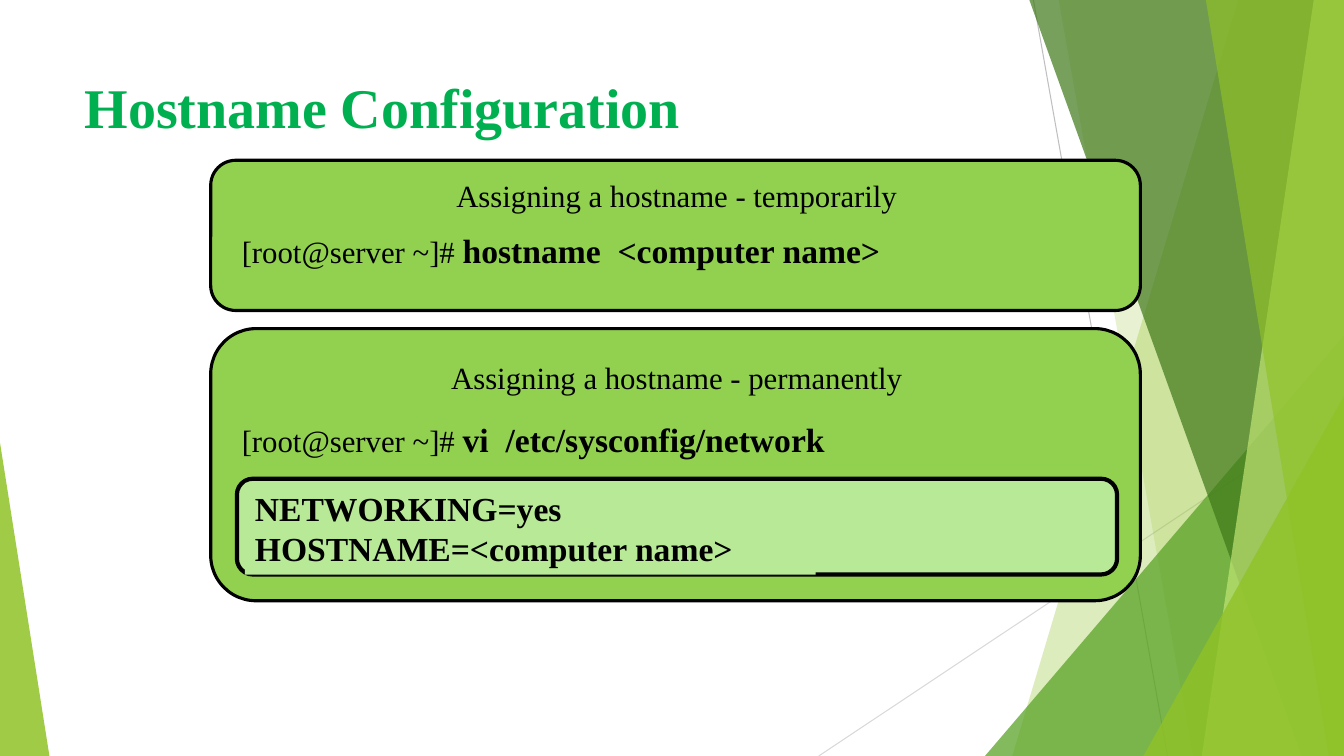
import pptx
import pptx.util
import pptx.dml.color
import pptx.enum.shapes
import pptx.enum.text
import pptx.oxml
import pptx.oxml.ns

RGB = pptx.dml.color.RGBColor
SHAPE = pptx.enum.shapes.MSO_SHAPE
ALIGN = pptx.enum.text.PP_ALIGN
ANCHOR = pptx.enum.text.MSO_ANCHOR
Pt = pptx.util.Pt
qn = pptx.oxml.ns.qn

BLACK = RGB(0x00, 0x00, 0x00)
TITLE_GREEN = RGB(0x00, 0xB0, 0x50)
PANEL_GREEN = RGB(0x92, 0xD0, 0x50)
FILE_GREEN = RGB(0xB7, 0xE9, 0x96)
LIME = RGB(0x90, 0xC2, 0x26)
GREEN = RGB(0x54, 0xA0, 0x21)
DARK_GREEN = RGB(0x3F, 0x78, 0x19)
PALE_LIME = RGB(0xC0, 0xE4, 0x74)
GREY = RGB(0xBF, 0xBF, 0xBF)
LIGHT_GREY = RGB(0xD9, 0xD9, 0xD9)

prs = pptx.Presentation()
prs.slide_width = pptx.util.Inches(13.33)
prs.slide_height = pptx.util.Inches(7.5)
# One column or row is one percent of the slide
COL, ROW = prs.slide_width / 100, prs.slide_height / 100
s = prs.slides.add_slide(prs.slide_layouts[6])


def paint(sp, fill, alpha=100, line=None):
    sp.shadow.inherit = False
    sp.fill.solid()
    sp.fill.fore_color.rgb = fill
    if alpha < 100:
        clr = sp._element.spPr.find(qn("a:solidFill"))[0]
        clr.append(pptx.oxml.parse_xml(
            '<a:alpha xmlns:a="http://schemas.openxmlformats.org/drawingml/2006/main"'
            f' val="{alpha * 1000}"/>'))
    if line:
        sp.line.color.rgb = BLACK
        sp.line.width = Pt(line)
    else:
        sp.line.fill.background()


def add_box(kind, x, y, w, h, paragraphs=(), **fmt):
    """paragraphs: lists of (text, format) runs; fmt: paragraph attributes."""
    sp = s.shapes.add_shape(kind, int(x * COL), int(y * ROW), int(w * COL), int(h * ROW))
    tf = sp.text_frame
    tf.word_wrap = True
    tf.vertical_anchor = ANCHOR.TOP
    for i, runs in enumerate(paragraphs):
        p = tf.add_paragraph() if i else tf.paragraphs[0]
        for name, value in {"alignment": ALIGN.LEFT, **fmt}.items():
            setattr(p, name, value)
        for text, font in runs:
            r = p.add_run()
            r.text = text
            r.font.color.rgb = font.get("color", BLACK)
            for name in ("name", "size", "bold"):
                setattr(r.font, name, font[name])
    return sp


PLAIN = {"name": "Times New Roman", "size": Pt(22), "bold": False}
STRONG = {**PLAIN, "size": Pt(24), "bold": True}
TITLE = {**STRONG, "size": Pt(40), "color": TITLE_GREEN}

# Thin background lines
for x1, y1, x2, y2, color in ((76.89, 0, 86.87, 100, GREY),
                              (100, 53.73, 60.92, 100, LIGHT_GREY)):
    c = s.shapes.add_connector(pptx.enum.shapes.MSO_CONNECTOR.STRAIGHT,
                               int(x1 * COL), int(y1 * ROW), int(x2 * COL), int(y2 * ROW))
    c.line.color.rgb = color
    c.line.width = Pt(0.75)
    c._element.spPr.append(pptx.oxml.parse_xml(
        '<a:effectLst xmlns:a="http://schemas.openxmlformats.org/drawingml/2006/main"/>'))

# Facets, back to front: bands run from a slanted left edge (top x, bottom x)
# to the right side; wedges are (x, y, width, apex) standing on the bottom side
FACETS = (
    ("band", (92.12, 75.32), LIME, 30),
    ("band", (78.77, 88.75), LIME, 20),
    ("wedge", (73.29, 44.4, 26.71, 1), GREEN, 72),
    ("band", (76.59, 96.85), DARK_GREEN, 70),
    ("band", (97.75, 89.42), PALE_LIME, 70),
    ("band", (89.72, 98.87), LIME, 65),
    ("wedge", (85.07, 52.4, 14.93, 1), LIME, 80),
    ("wedge", (0, 58.53, 3.68, 0), LIME, 85),
)
for kind, place, color, alpha in FACETS:
    if kind == "band":
        top, bottom = place
        fb = s.shapes.build_freeform(int(top * COL), 0)
        fb.add_line_segments([(int(x * COL), int(y * ROW)) for x, y in
                              ((100, 0), (100, 100), (bottom, 100))], close=True)
        sp = fb.convert_to_shape()
    else:
        x, y, w, apex = place
        sp = add_box(SHAPE.ISOSCELES_TRIANGLE, x, y, w, 100 - y)
        sp.adjustments[0] = apex
    paint(sp, color, alpha)

# Title
title = add_box(SHAPE.RECTANGLE, 5.55, 8.93, 70.52, 19.2,
                [[("Hostname Configuration", TITLE)]])
title.shadow.inherit = False
title.fill.background()
title.line.fill.background()

# Panels: top, height, heading top, command top, heading, command
PANELS = (
    (21.2, 19.87, 22.67, 29.6,
     "Assigning a hostname - temporarily", "hostname  <computer name>"),
    (43.47, 36, 46.8, 54.53,
     "Assigning a hostname - permanently", "vi  /etc/sysconfig/network"),
)
for top, height, heading_top, command_top, heading, command in PANELS:
    paint(add_box(SHAPE.ROUNDED_RECTANGLE, 15.68, top, 69.17, height), PANEL_GREEN, line=2.25)
    paint(add_box(SHAPE.RECTANGLE, 17.18, heading_top, 66.32, 6.27,
                  [[(heading, PLAIN)]], alignment=ALIGN.CENTER), PANEL_GREEN)
    paint(add_box(SHAPE.RECTANGLE, 17.25, command_top, 66.32, 6.93,
                  [[("[root@server ~]# ", PLAIN), (command, STRONG)]],
                  line_spacing=Pt(30)), PANEL_GREEN)

# File contents
paint(add_box(SHAPE.ROUNDED_RECTANGLE, 17.63, 63.33, 65.49, 12.67), FILE_GREEN, line=3)
paint(add_box(SHAPE.RECTANGLE, 18.23, 63.87, 42.46, 12.13,
              [[("NETWORKING=yes", STRONG)], [("HOSTNAME=<computer name>", STRONG)]]),
      FILE_GREEN)

prs.save("out.pptx")
